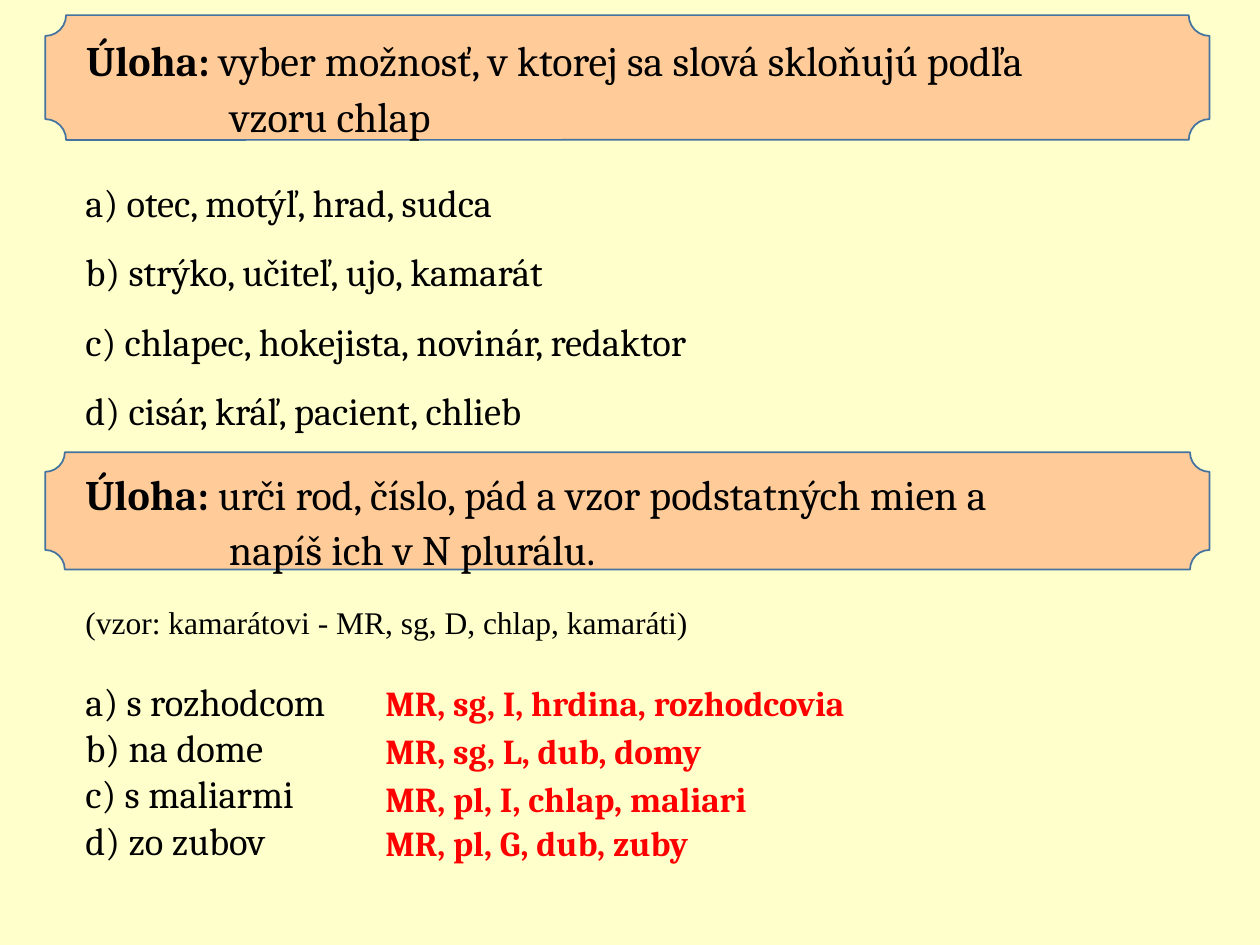
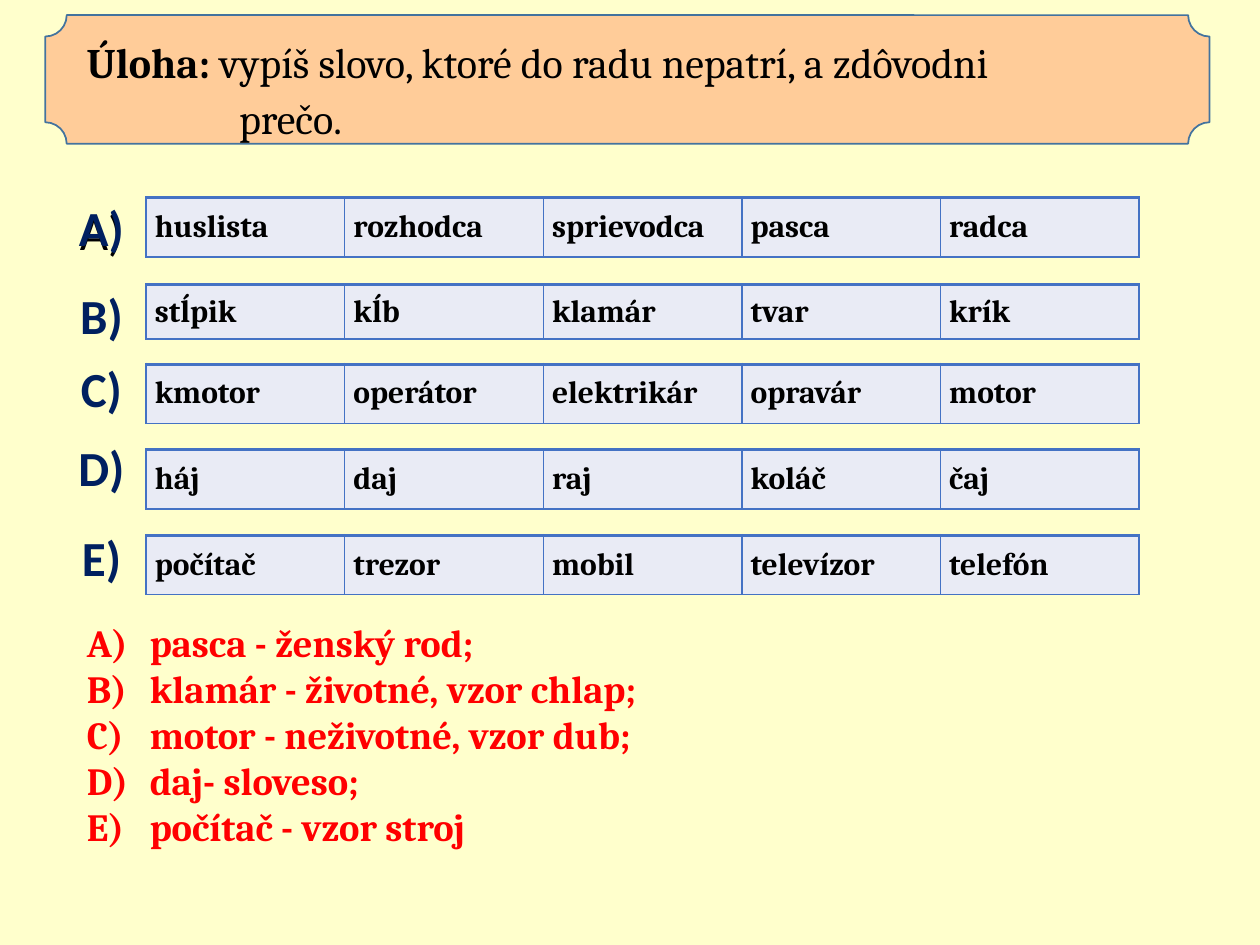
from lxml import etree
from pptx import Presentation
from pptx.dml.color import RGBColor
from pptx.enum.shapes import MSO_SHAPE
from pptx.enum.text import MSO_ANCHOR, MSO_AUTO_SIZE, PP_ALIGN
from pptx.oxml.ns import qn
from pptx.util import Inches, Pt

PLAQUE = MSO_SHAPE.PLAQUE
MIDDLE = MSO_ANCHOR.MIDDLE
GROW = MSO_AUTO_SIZE.SHAPE_TO_FIT_TEXT
LEFT, CENTER = PP_ALIGN.LEFT, PP_ALIGN.CENTER

COLORS = {
    "page": "FFFFCC", "band": "FFCC99", "edge": "43739E", "ink": "000000",
    "key": "FF0000", "label": "002060", "cell": "E9EBF5", "rule": "4472C4",
}
BASE = {"name": "Cambria", "size": Pt(22), "bold": False, "color": "ink"}
BAND = {**BASE, "size": Pt(24)}
HEAD = {**BAND, "bold": True}
HINT = {**BASE, "name": "Times New Roman", "size": Pt(18)}
CELL = {**BASE, "size": Pt(18), "bold": True}
KEY = {**BASE, "size": Pt(20), "bold": True, "color": "key"}
LIST = {**KEY, "size": Pt(22)}
LABEL = {"name": "Calibri", "size": Pt(28), "bold": True, "color": "label"}
SHADE = {**LABEL, "bold": False, "color": "ink"}
BORDERS = {"a:lnL": 1, "a:lnR": 1, "a:lnT": 2, "a:lnB": 1}


def rgb(name):
    return RGBColor.from_string(COLORS[name])


class Deck:
    def __init__(self):
        self.prs = Presentation()
        self.prs.slide_width = Inches(10)
        self.prs.slide_height = Inches(7.5)

    def page(self):
        self.slide = self.prs.slides.add_slide(self.prs.slide_layouts[6])
        fill = self.slide.background.fill
        fill.solid()
        fill.fore_color.rgb = rgb("page")

    def run(self, para, text, style):
        run = para.add_run()
        run.text = text
        for name, value in style.items():
            if name == "color":
                run.font.color.rgb = rgb(value)
            else:
                setattr(run.font, name, value)

    def indent(self, para, left, first=0):
        props = para._p.get_or_add_pPr()
        props.set("marL", str(Inches(left)))
        props.set("indent", str(Inches(first)))
        return props

    def band(self, top, height, first, second, start=1.25):
        shape = self.slide.shapes.add_shape(
            PLAQUE, Inches(0.36), Inches(top), Inches(9.24), Inches(height))
        shape.shadow.inherit = False
        shape.fill.solid()
        shape.fill.fore_color.rgb = rgb("band")
        shape.line.color.rgb = rgb("edge")
        shape.line.width = Pt(1)
        frame = shape.text_frame
        frame.word_wrap = True
        frame.vertical_anchor = MIDDLE
        frame.margin_top = Inches(0.21)
        head, tail = frame.paragraphs[0], frame.add_paragraph()
        for para, left in ((head, 0.11), (tail, start)):
            para.alignment = LEFT
            self.indent(para, left)
        tail.space_before = Pt(3)
        self.run(head, "Úloha:", HEAD)
        self.run(head, " " + first, BAND)
        self.run(tail, second, BAND)

    def text(self, left, top, width, height, lines, style,
             align=LEFT, pitch=None, count=False):
        box = self.slide.shapes.add_textbox(
            Inches(left), Inches(top), Inches(width), Inches(height))
        frame = box.text_frame
        frame.word_wrap = True
        frame.auto_size = GROW
        for i, line in enumerate(lines):
            para = frame.add_paragraph() if i else frame.paragraphs[0]
            para.alignment = align
            if pitch:
                para.line_spacing = pitch
            if count:
                props = self.indent(para, 0.5, -0.5)
                etree.SubElement(props, qn("a:buFont"), typeface="+mj-lt")
                etree.SubElement(props, qn("a:buAutoNum"), type="alphaUcParenR")
            self.run(para, line, style)
        return frame

    def border(self, cell):
        props = cell._tc.get_or_add_tcPr()
        for tag, width in BORDERS.items():
            line = etree.SubElement(props, qn(tag), w=str(Pt(width)))
            fill = etree.SubElement(line, qn("a:solidFill"))
            etree.SubElement(fill, qn("a:srgbClr"), val=COLORS["rule"])

    def table(self, top, height, words):
        table = self.slide.shapes.add_table(
            1, len(words), Inches(1.16), Inches(top),
            Inches(7.88), Inches(height)).table
        table.first_row = table.horz_banding = False
        for cell, word in zip(table.rows[0].cells, words):
            self.border(cell)
            cell.fill.solid()
            cell.fill.fore_color.rgb = rgb("cell")
            cell.vertical_anchor = MIDDLE
            cell.margin_left = cell.margin_right = Inches(0.07)
            cell.margin_top = cell.margin_bottom = 0
            self.run(cell.text_frame.paragraphs[0], word, CELL)

    def label(self, top, text, style=LABEL):
        self.text(0.46, top, 0.69, 0.57, [text], style, CENTER)


def choice(deck):
    deck.page()
    deck.text(0.58, 1.19, 7.35, 2.32, [
        "a) otec, motýľ, hrad, sudca",
        "b) strýko, učiteľ, ujo, kamarát",
        "c) chlapec, hokejista, novinár, redaktor",
        "d) cisár, kráľ, pacient, chlieb",
    ], BASE, pitch=1.5)
    frame = deck.text(0.58, 4.74, 6.78, 2.19, [
        "(vzor: kamarátovi - MR, sg, D, chlap, kamaráti)"], HINT)
    tasks = ["a) s rozhodcom", "b) na dome", "c) s maliarmi", "d) zo zubov"]
    for i, task in enumerate(tasks):
        para = frame.add_paragraph()
        para.space_before = Pt(0 if i else 21)
        deck.run(para, task, BASE)
    deck.band(0.12, 0.99, "vyber možnosť, v ktorej sa slová skloňujú podľa",
              "vzoru chlap")
    deck.band(3.59, 0.93, "urči rod, číslo, pád a vzor podstatných mien a",
              "napíš ich v N plurálu.")
    for top, width, key in (
        (5.36, 5.49, "MR, sg, I, hrdina, rozhodcovia"),
        (5.74, 4.28, "MR, sg, L, dub, domy"),
        (6.12, 4.28, "MR, pl, I, chlap, maliari"),
        (6.47, 4.28, "MR, pl, G, dub, zuby"),
    ):
        deck.text(2.96, top, width, 0.44, [key], KEY)


def odd(deck):
    deck.page()
    deck.band(0.12, 1.02, "vypíš slovo, ktoré do radu nepatrí, a zdôvodni",
              "prečo.", 1.32)
    deck.label(1.55, "A)", SHADE)
    for mark, high, top, height, words in (
        ("A)", 1.52, 1.57, 0.47,
         ["huslista", "rozhodca", "sprievodca", "pasca", "radca"]),
        ("B)", 2.22, 2.26, 0.43,
         ["stĺpik", "kĺb", "klamár", "tvar", "krík"]),
        ("C)", 2.8, 2.89, 0.47,
         ["kmotor", "operátor", "elektrikár", "opravár", "motor"]),
        ("D)", 3.42, 3.57, 0.47,
         ["háj", "daj", "raj", "koláč", "čaj"]),
        ("E)", 4.14, 4.25, 0.47,
         ["počítač", "trezor", "mobil", "televízor", "telefón"]),
    ):
        deck.table(top, height, words)
        deck.label(high, mark)
    deck.text(0.59, 4.86, 6.81, 1.95, [
        "pasca - ženský rod;",
        "klamár - životné, vzor chlap;",
        "motor - neživotné, vzor dub;",
        "daj- sloveso;",
        "počítač - vzor stroj",
    ], LIST, count=True)


def main():
    deck = Deck()
    choice(deck)
    odd(deck)
    deck.prs.save("out.pptx")


if __name__ == "__main__":
    main()
